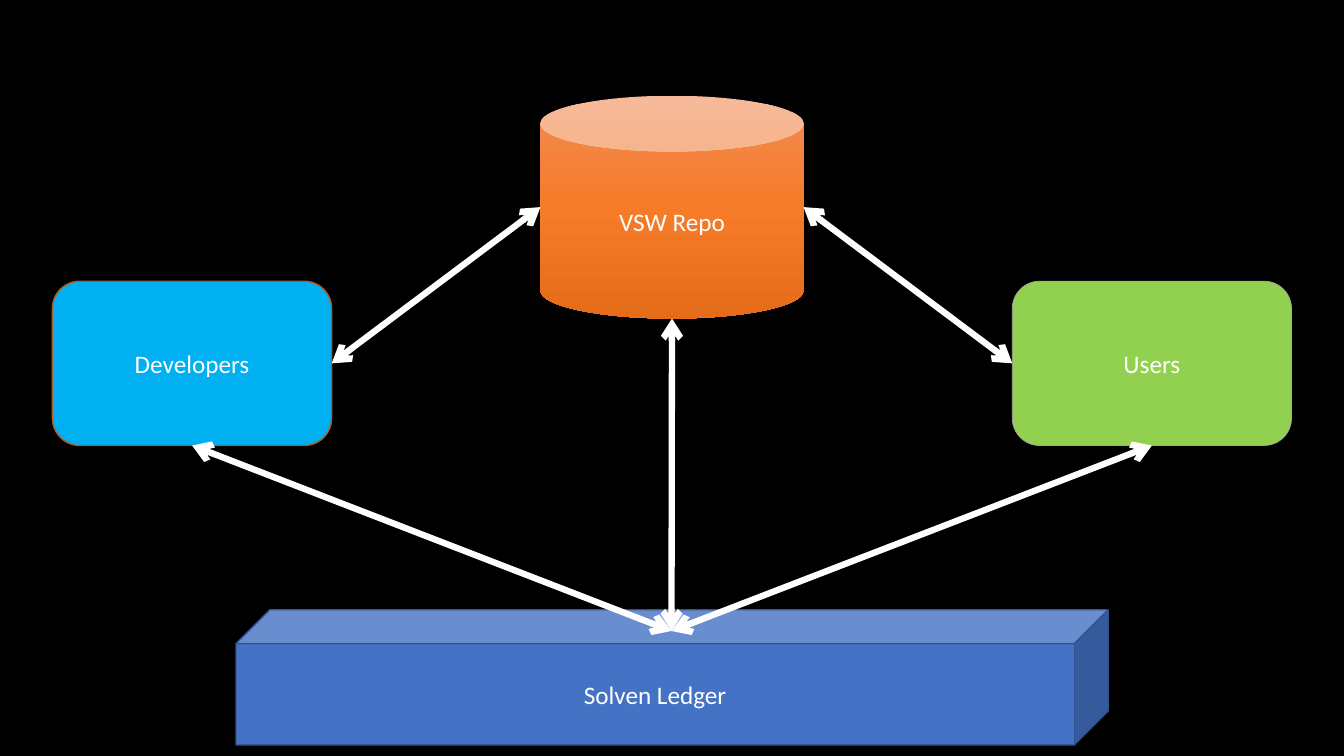
import copy

import pptx
import pptx.dml.color
import pptx.enum.shapes
import pptx.enum.text
import pptx.oxml
import pptx.oxml.ns
import pptx.util

Inches = pptx.util.Inches
Pt = pptx.util.Pt
RGBColor = pptx.dml.color.RGBColor
SHAPE = pptx.enum.shapes.MSO_SHAPE
qn = pptx.oxml.ns.qn

BLACK = RGBColor(0x00, 0x00, 0x00)
WHITE = RGBColor(0xFF, 0xFF, 0xFF)
SKY = RGBColor(0x00, 0xB0, 0xF0)
RUST = RGBColor(0xAF, 0x5C, 0x24)
GREEN = RGBColor(0x92, 0xD0, 0x50)
GRAY = RGBColor(0xA5, 0xA5, 0xA5)
BLUE = RGBColor(0x44, 0x72, 0xC4)
NAVY = RGBColor(0x32, 0x54, 0x91)
ORANGES = (RGBColor(0xF1, 0x8C, 0x57), RGBColor(0xF6, 0x7B, 0x28),
           RGBColor(0xE5, 0x6C, 0x19))


def write(s, text, font="Calibri", size=18, color=WHITE):
    """Put centred text in a shape."""
    tf = s.text_frame
    tf.word_wrap = True
    tf.vertical_anchor = pptx.enum.text.MSO_ANCHOR.MIDDLE
    p = tf.paragraphs[0]
    p.alignment = pptx.enum.text.PP_ALIGN.CENTER
    r = p.add_run()
    r.text = text
    r.font.name, r.font.size = font, Pt(size)
    r.font.color.rgb = color


def shade(s, colors):
    """Fill a shape with evenly spaced colours, running top to bottom."""
    fill = s.fill
    fill.gradient()
    fill.gradient_angle = 270
    stops = s._element.spPr.find(qn("a:gradFill")).find(qn("a:gsLst"))
    while len(stops) < len(colors):
        stops.append(copy.deepcopy(stops[0]))
    for i, (stop, color) in enumerate(zip(fill.gradient_stops, colors)):
        stop.color.rgb = color
        stop.position = i / (len(colors) - 1)


class Diagram:
    """Holds the arrow style and the current slide."""

    arrow_color = WHITE
    arrow_width = 4.5

    def __init__(self, slide, background):
        """Take a slide and colour its background."""
        self.shapes = slide.shapes
        slide.background.fill.solid()
        slide.background.fill.fore_color.rgb = background

    def node(self, kind, text, box, fill, line=None, width=1):
        """Add a labelled shape; a tuple of fills makes a gradient."""
        s = self.shapes.add_shape(kind, *map(Inches, box))
        s.shadow.inherit = False
        if isinstance(fill, RGBColor):
            s.fill.solid()
            s.fill.fore_color.rgb = fill
        else:
            shade(s, fill)
        if line is None:
            s.line.fill.background()
        else:
            s.line.color.rgb = line
            s.line.width = Pt(width)
        write(s, text)

    def arrow(self, start, end):
        """Add a straight line with an open arrowhead at both ends."""
        s = self.shapes.add_connector(
            pptx.enum.shapes.MSO_CONNECTOR.STRAIGHT,
            *map(Inches, start + end))
        s.line.color.rgb = self.arrow_color
        s.line.width = Pt(self.arrow_width)
        ln = s.line._get_or_add_ln()
        for tag in ("a:headEnd", "a:tailEnd"):
            pptx.oxml.xmlchemy.OxmlElement(tag)
            head = pptx.oxml.xmlchemy.OxmlElement(tag)
            head.set("type", "arrow")
            ln.append(head)
        s._element.spPr.append(pptx.oxml.xmlchemy.OxmlElement("a:effectLst"))


def left(box):
    """Middle of the left side."""
    return box[0], box[1] + box[3] / 2


def right(box):
    """Middle of the right side."""
    return box[0] + box[2], box[1] + box[3] / 2


def bottom(box):
    """Middle of the bottom side."""
    return box[0] + box[2] / 2, box[1] + box[3]


def main():
    """Build the slide and save it."""
    prs = pptx.Presentation()
    prs.slide_width, prs.slide_height = Inches(13.33), Inches(7.5)
    d = Diagram(prs.slides.add_slide(prs.slide_layouts[6]), BLACK)

    repo = (5.36, 0.95, 2.61, 2.21)
    developers = (0.52, 2.79, 2.77, 1.63)
    users = (10.04, 2.79, 2.77, 1.63)
    ledger = (2.34, 6.05, 8.65, 1.34)
    hub = (6.66, 6.26)

    d.node(SHAPE.CAN, "VSW Repo", repo, ORANGES)
    d.node(SHAPE.ROUNDED_RECTANGLE, "Developers", developers, SKY, RUST)
    d.node(SHAPE.ROUNDED_RECTANGLE, "Users", users, GREEN, GRAY, 0.5)
    d.arrow(right(developers), left(repo))
    d.arrow(right(repo), left(users))
    d.node(SHAPE.CUBE, "Solven Ledger", ledger, BLUE, NAVY)
    for box in (developers, repo, users):
        d.arrow(bottom(box), hub)

    prs.save("out.pptx")


main()
